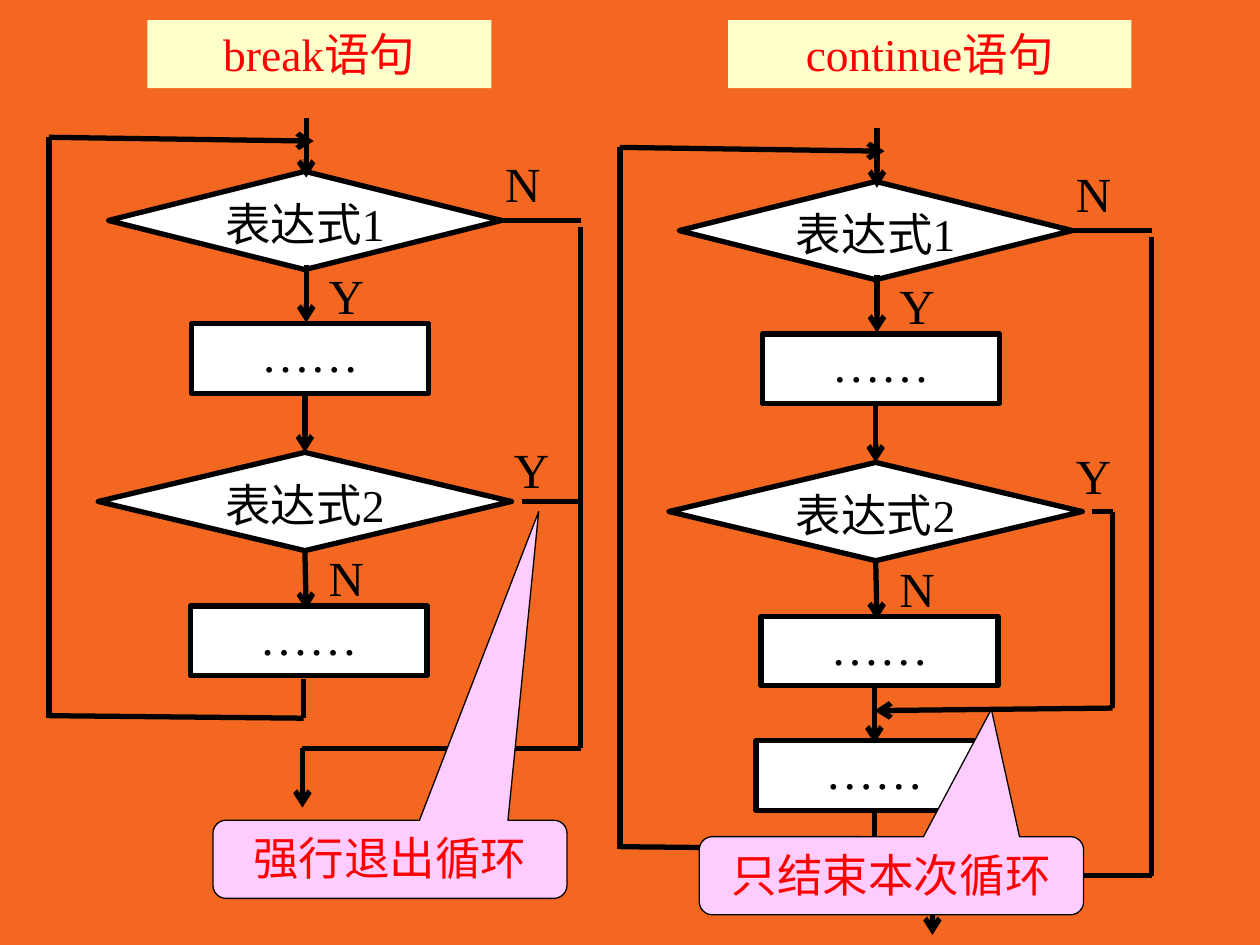
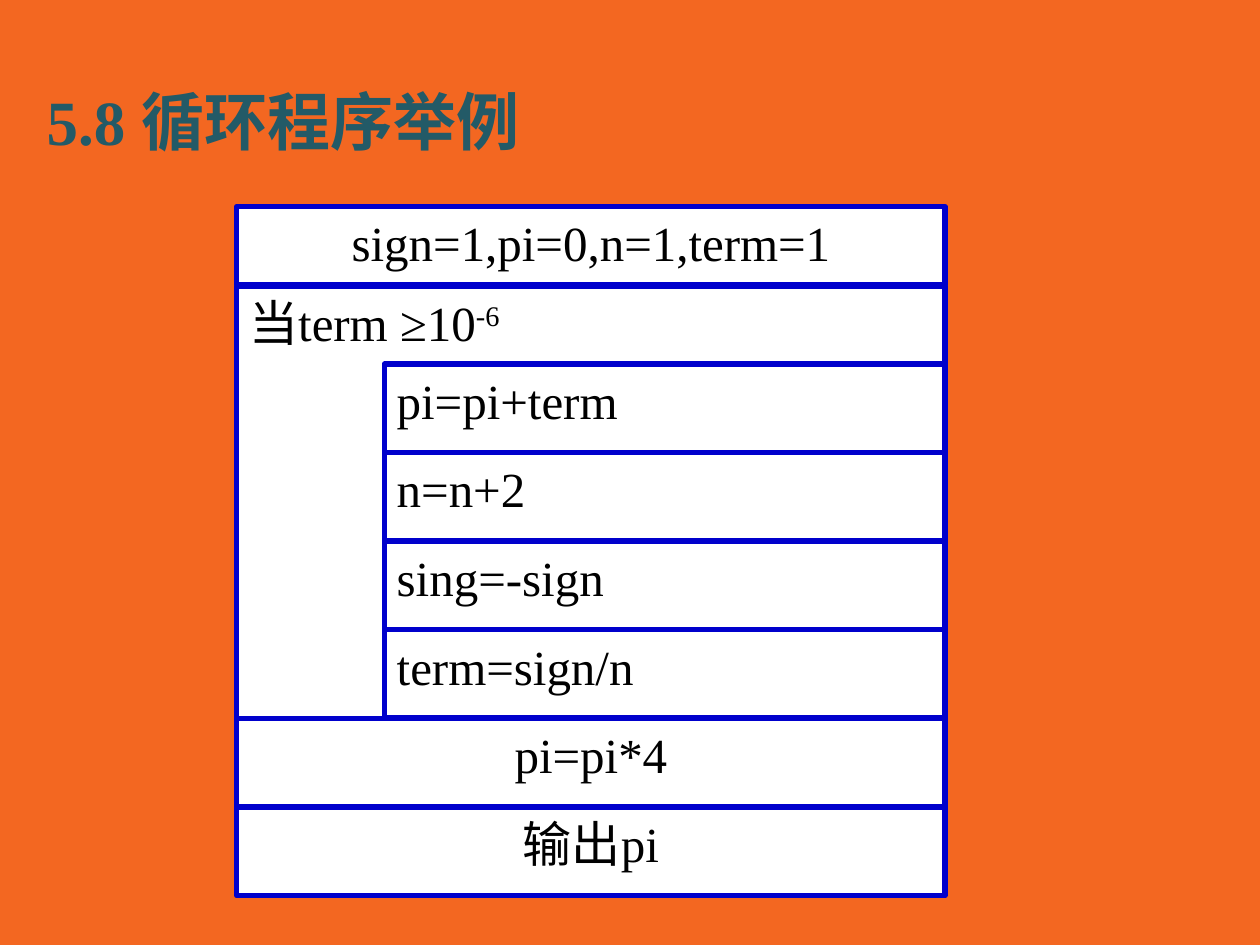
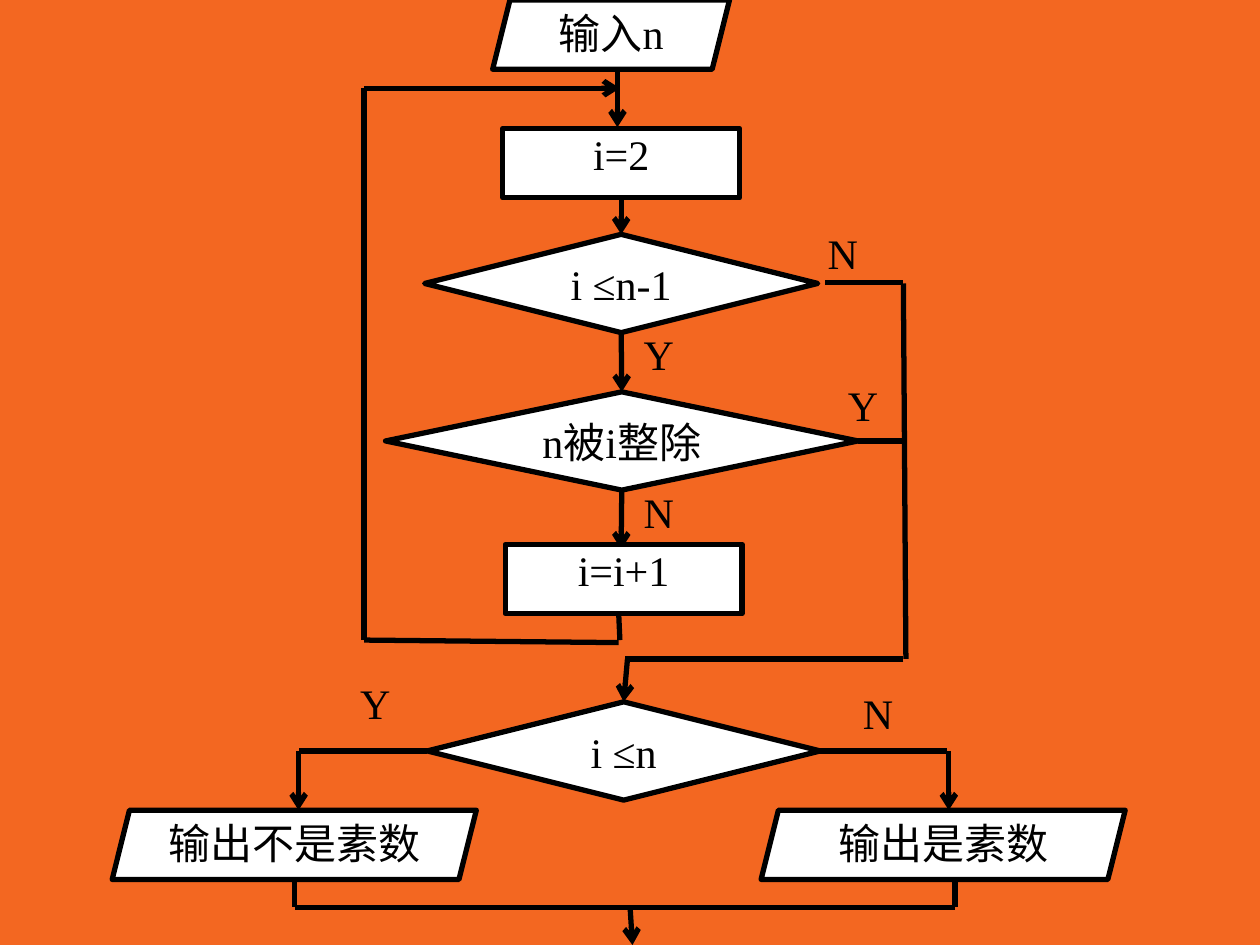
from dataclasses import dataclass

from lxml import etree
from pptx import Presentation
from pptx.dml.color import RGBColor
from pptx.enum.shapes import MSO_CONNECTOR, MSO_SHAPE
from pptx.enum.text import MSO_ANCHOR, PP_ALIGN
from pptx.oxml.ns import qn
from pptx.util import Inches, Pt

STEP = MSO_SHAPE.FLOWCHART_PROCESS
TEST = MSO_SHAPE.FLOWCHART_DECISION
DATA = MSO_SHAPE.PARALLELOGRAM
RECT = MSO_SHAPE.RECTANGLE
CALL = MSO_SHAPE.ROUNDED_RECTANGULAR_CALLOUT
WIRE = MSO_CONNECTOR.STRAIGHT
TOP, MIDDLE = MSO_ANCHOR.TOP, MSO_ANCHOR.MIDDLE
LEFT, CENTER = PP_ALIGN.LEFT, PP_ALIGN.CENTER


@dataclass
class Theme:
    back: str = "F36721"
    ink: str = "000000"
    paper: str = "FFFFFF"
    cream: str = "FFFFCC"
    pink: str = "FFCCFF"
    red: str = "FF0000"
    blue: str = "0000CC"
    teal: str = "235A67"
    font: str = "Times New Roman"
    title: int = 36
    big: int = 28
    mid: int = 26
    small: int = 24
    thick: float = 3
    thin: float = 0.75


theme = Theme()


def box(shapes, kind, at, text, size, ink=theme.ink, fill=theme.paper,
        edge=theme.ink, width=theme.thick, align=CENTER, inset=0):
    """Add a filled shape with text, or a plain label when kind is None."""
    place = [Inches(v) for v in at]
    if kind is None:
        shape = shapes.add_textbox(*place)
        align = LEFT
    else:
        shape = shapes.add_shape(kind, *place)
        shape.shadow.inherit = False
        shape.fill.solid()
        shape.fill.fore_color.rgb = RGBColor.from_string(fill)
        if edge:
            shape.line.color.rgb = RGBColor.from_string(edge)
            shape.line.width = Pt(width)
        else:
            shape.line.fill.background()
    frame = shape.text_frame
    frame.word_wrap = kind is None
    frame.vertical_anchor = TOP
    if kind is not None:
        frame.margin_left = frame.margin_right = Inches(inset)
        frame.margin_top = frame.margin_bottom = Inches(inset / 2)
    frame.text = text
    para = frame.paragraphs[0]
    para.alignment = align
    for run in para.runs:
        run.font.size = Pt(size)
        run.font.name = theme.font
        run.font.color.rgb = RGBColor.from_string(ink)
    return shape


def line(shapes, x1, y1, x2, y2, arrow=False):
    """Add a thick black line, with an arrowhead at its end if asked."""
    wire = shapes.add_connector(WIRE, *[Inches(v) for v in (x1, y1, x2, y2)])
    wire.line.color.rgb = RGBColor.from_string(theme.ink)
    wire.line.width = Pt(theme.thick)
    props = wire.element.spPr
    if arrow:
        etree.SubElement(props.find(qn("a:ln")), qn("a:tailEnd"), type="arrow")
    etree.SubElement(props, qn("a:effectLst"))
    return wire


deck = Presentation()
deck.slide_width, deck.slide_height = Inches(10), Inches(7.5)
back = deck.slide_master.background.fill
back.solid()
back.fore_color.rgb = RGBColor.from_string(theme.back)
bare, headed = deck.slide_layouts[6], deck.slide_layouts[5]

# Slide 1: break and continue side by side
shapes = deck.slides.add_slide(bare).shapes

# Shared loop: offset, end of the exit line, end of the loop, place of Y
for dx, dy, out, loop, yes in (
    (0, 0, 5.94, 5.7, (3.98, 3.44)),
    (4.53, 0.08, 6.95, 6.74, (8.44, 3.49)),
):
    first = box(shapes, TEST, (0.86 + dx, 1.36 + dy, 3.12, 0.78), "表达式1", theme.mid)
    second = box(shapes, TEST, (0.78 + dx, 3.59 + dy, 3.28, 0.78), "表达式2", theme.mid)
    line(shapes, 2.43 + dx, 0.94 + dy, 2.43 + dx, 1.41 + dy, True)
    line(shapes, 0.39 + dx, 1.09 + dy, 2.49 + dx, 1.12 + dy, True)
    line(shapes, 0.39 + dx, loop, 0.39 + dx, 1.09 + dy)
    line(shapes, 2.41 + dx, loop, 0.39 + dx, loop - 0.02)
    line(shapes, 4.61 + dx, 1.8 + dy, 4.61 + dx, out)
    line(shapes, 4.61 + dx, 1.75 + dy, 3.99 + dx, 1.75 + dy).end_connect(first, 3)
    line(shapes, 2.43 + dx, 2.1 + dy, 2.43 + dx, 2.56 + dy, True)
    line(shapes, 2.42 + dx, 3.13 + dy, 2.42 + dx, 3.59 + dy, True).end_connect(second, 0)
    line(shapes, 2.43 + dx, 4.38 + dy, 2.43 + dx, 4.84 + dy, True).begin_connect(second, 2)
    for x, y in ((1.52, 2.57), (1.51, 4.81)):
        box(shapes, STEP, (x + dx, y + dy, 1.88, 0.55), "……", theme.big)
    for x, y, word in ((3.91, 1.17, "N"), (2.51, 2.06, "Y"), (2.51, 4.3, "N")):
        box(shapes, None, (x + dx, y + dy, 0.55, 0.57), word, theme.big)
    box(shapes, None, (*yes, 0.49, 0.57), "Y", theme.big)

# Way out of break
line(shapes, 2.41, 5.39, 2.41, 5.7)
line(shapes, 4.61, 3.98, 4.14, 3.98)
line(shapes, 4.61, 5.94, 2.4, 5.94)
line(shapes, 2.4, 5.94, 2.4, 6.41, True)

# Short cut of continue
box(shapes, STEP, (6, 5.88, 1.88, 0.55), "……", theme.big)
line(shapes, 6.94, 5.44, 6.94, 5.9, True)
line(shapes, 6.94, 6.42, 6.94, 6.74)
line(shapes, 8.83, 4.06, 8.67, 4.06)
line(shapes, 8.83, 4.06, 8.83, 5.62)
line(shapes, 8.83, 5.62, 6.94, 5.64, True)
line(shapes, 9.14, 6.95, 6.93, 6.95)
line(shapes, 7.4, 6.95, 7.4, 7.42, True)

# Headings and callouts
for x, width, text in ((1.17, 2.73, "break语句"), (5.78, 3.2, "continue语句")):
    box(shapes, RECT, (x, 0.16, width, 0.54), text, theme.mid, theme.red,
        theme.cream, None, inset=0.1)
for at, text, tip in (
    ((1.69, 6.51, 2.81, 0.62), "强行退出循环", (0.42, -4.45)),
    ((5.55, 6.64, 3.05, 0.62), "只结束本次循环", (0.26, -2.13)),
):
    note = box(shapes, CALL, at, text, theme.mid, theme.red, theme.pink,
               width=theme.thin, inset=0.1)
    note.adjustments[0], note.adjustments[1] = tip

# Slide 2: structure chart for pi
shapes = deck.slides.add_slide(headed).shapes
title = shapes.title
title.left, title.top = Inches(0.27), Inches(0.6)
title.width, title.height = Inches(8.75), Inches(0.71)
title.text_frame.text = "5.8 循环程序举例"
title.text_frame.vertical_anchor = MIDDLE
para = title.text_frame.paragraphs[0]
para.alignment = LEFT
run = para.runs[0]
run.font.size, run.font.bold, run.font.name = Pt(theme.title), True, theme.font
run.font.color.rgb = RGBColor.from_string(theme.teal)

# Title shadow
glow = etree.Element(qn("a:effectLst"))
cast = etree.SubElement(glow, qn("a:outerShdw"), dist="35921", dir="2700000")
etree.SubElement(cast, qn("a:srgbClr"), val="C0C0C0")
run.font._element.find(qn("a:solidFill")).addnext(glow)

# Outer rows, then the loop body
chart = shapes.add_group_shape().shapes
row = 0.7
for y, height, text, align in (
    (1.64, 0.62, "sign=1,pi=0,n=1,term=1", CENTER),
    (2.27, 3.44, "当term ≥10", LEFT),
    (5.7, row, "pi=pi*4", CENTER),
    (6.41, row, "输出pi", CENTER),
):
    cell = box(chart, RECT, (1.88, y, 5.62, height), text, theme.big,
               edge=theme.blue, align=align, inset=0.1)
    if align == LEFT:
        power = cell.text_frame.paragraphs[0].add_run()
        power.text = "-6"
        power.font.size, power.font.name = Pt(theme.big), theme.font
        power.font.color.rgb = RGBColor.from_string(theme.ink)
        power.font._element.set("baseline", "30000")
for i, text in enumerate(("pi=pi+term", "n=n+2", "sing=-sign", "term=sign/n")):
    box(chart, STEP, (3.05, 2.89 + i * 0.703, 4.45, row), text, theme.big,
        edge=theme.blue, align=LEFT, inset=0.1)

# Slide 3: prime test
shapes = deck.slides.add_slide(bare).shapes

# Inputs, outputs and tests
for x, y, width, text in (
    (3.91, 0, 1.88, "输入n"),
    (0.89, 6.43, 2.89, "输出不是素数"),
    (6.04, 6.43, 2.89, "输出是素数"),
):
    box(shapes, DATA, (x, y, width, 0.55), text, theme.small).adjustments[0] = 0.25
start = box(shapes, STEP, (3.99, 1.02, 1.88, 0.55), "i=2", theme.small)
bound, split, final = [
    box(shapes, TEST, (x, y, width, 0.78), text, theme.small)
    for x, y, width, text in (
        (3.37, 1.86, 3.12, "i ≤n-1"),
        (3.06, 3.11, 3.75, "n被i整除"),
        (3.39, 5.57, 3.12, "i ≤n"),
    )
]

# Lines that join shapes
wire = line(shapes, 4.93, 1.57, 4.93, 1.86, True)
wire.begin_connect(start, 2)
wire.end_connect(bound, 0)
wire = line(shapes, 4.93, 2.64, 4.93, 3.11, True)
wire.begin_connect(bound, 2)
wire.end_connect(split, 0)
line(shapes, 4.93, 3.89, 4.93, 4.36, True).begin_connect(split, 2)
line(shapes, 7.19, 3.5, 6.81, 3.5).end_connect(split, 3)
line(shapes, 4.98, 5.23, 5, 5.57, True).end_connect(final, 0)
line(shapes, 3.38, 5.96, 2.37, 5.96).begin_connect(final, 1)
line(shapes, 7.52, 5.96, 6.51, 5.96).end_connect(final, 3)

# Free lines
for ends in (
    (7.17, 2.25, 7.19, 5.23), (7.17, 5.23, 4.96, 5.23), (7.17, 2.24, 6.55, 2.24),
    (4.91, 5.1, 2.89, 5.08), (2.89, 5.08, 2.89, 0.7), (4.91, 4.86, 4.92, 5.08),
    (2.34, 6.97, 2.34, 7.2), (7.58, 7.2, 2.34, 7.2), (7.58, 6.97, 7.58, 7.2),
):
    line(shapes, *ends)
for ends in (
    (2.89, 0.7, 4.92, 0.7), (4.9, 0.54, 4.9, 1.01), (2.37, 5.96, 2.37, 6.43),
    (7.53, 5.96, 7.53, 6.43), (5, 7.19, 5.02, 7.5),
):
    line(shapes, *ends, True)

# Counter step and branch labels
box(shapes, STEP, (4.01, 4.32, 1.88, 0.55), "i=i+1", theme.small)
for x, y, word in (
    (6.47, 1.76, "N"), (5.01, 2.56, "Y"), (6.63, 2.96, "Y"),
    (5.01, 3.81, "N"), (2.76, 5.33, "Y"), (6.75, 5.41, "N"),
):
    box(shapes, None, (x, y, 0.55, 0.5), word, theme.small)

deck.save("out.pptx")
